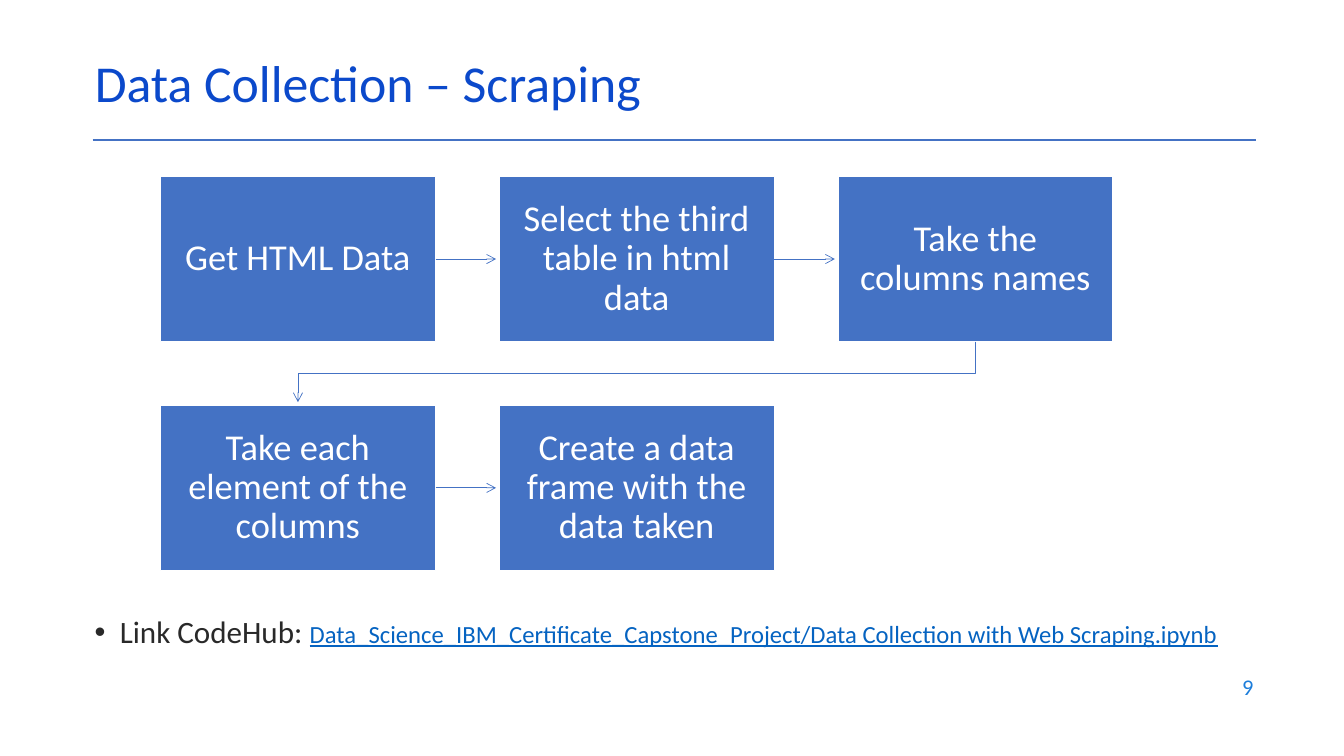
"""Build the web scraping slide: a five-step flow, a notebook link and a page number."""
from lxml import etree
from pptx import Presentation
from pptx.dml.color import RGBColor
from pptx.enum.shapes import MSO_CONNECTOR, MSO_SHAPE
from pptx.enum.text import MSO_ANCHOR, PP_ALIGN
from pptx.oxml.ns import qn
from pptx.util import Inches, Pt

STRAIGHT, RECTANGLE = MSO_CONNECTOR.STRAIGHT, MSO_SHAPE.RECTANGLE
MIDDLE, TOP = MSO_ANCHOR.MIDDLE, MSO_ANCHOR.TOP
LEFT, CENTER, RIGHT = PP_ALIGN.LEFT, PP_ALIGN.CENTER, PP_ALIGN.RIGHT
BOTTOM_SIDE, RIGHT_SIDE = 2, 3

WHITE = RGBColor(0xFF, 0xFF, 0xFF)
FLOW_BLUE = RGBColor(0x44, 0x72, 0xC4)
TITLE_BLUE = RGBColor(0x0B, 0x49, 0xCB)
PAGE_BLUE = RGBColor(0x1C, 0x7D, 0xDB)
LINK_BLUE = RGBColor(0x05, 0x63, 0xC1)
DARK = RGBColor(0x29, 0x29, 0x29)

STEPS = [
    "Get HTML Data",
    "Select the third table in html data",
    "Take the columns names",
    "Take each element of the columns",
    "Create a data frame with the data taken",
]
COLUMNS = 3
FLOW_LEFT, FLOW_TOP = 1.59, 1.75
STEP_WIDTH, STEP_HEIGHT = 2.73, 1.64
COLUMN_PITCH, ROW_PITCH = 3.36, 2.27
ARROW_GAP = 0.03


def write(shape, runs, align, anchor, spacing=1.0, inset=None, bullet=False):
    """Fill a shape with one paragraph of (text, size, colour, underline) runs."""
    frame = shape.text_frame
    frame.word_wrap = True
    frame.vertical_anchor = anchor
    if inset is not None:
        for side in ("left", "top", "right", "bottom"):
            setattr(frame, f"margin_{side}", Inches(inset))
    paragraph = frame.paragraphs[0]
    if bullet:
        properties = paragraph._p.get_or_add_pPr()
        properties.set("marL", str(Inches(0.25)))
        properties.set("indent", str(Inches(-0.25)))
        etree.SubElement(properties, qn("a:buFont"), typeface="Arial")
        etree.SubElement(properties, qn("a:buChar"), char="•")
    paragraph.alignment = align
    paragraph.line_spacing = spacing
    for text, size, colour, underline in runs:
        run = paragraph.add_run()
        run.text = text
        formats = {"name": "Calibri", "size": Pt(size), "underline": underline}
        for key, value in formats.items():
            setattr(run.font, key, value)
        run.font.color.rgb = colour


def style_line(item, width, arrow=True):
    """Give a line its colour and width, no shadow, and an optional arrowhead."""
    item.line.color.rgb = FLOW_BLUE
    item.line.width = Pt(width)
    if arrow:
        etree.SubElement(item.line._get_or_add_ln(), qn("a:tailEnd"), type="arrow")
    etree.SubElement(item._element.spPr, qn("a:effectLst"))


prs = Presentation()
prs.slide_width, prs.slide_height = Inches(13.33), Inches(7.5)
slide = prs.slides.add_slide(prs.slide_layouts[5])
shapes = slide.shapes

title = shapes.title
title.left, title.top = Inches(0.84), Inches(0.59)
title.width, title.height = Inches(11.5), Inches(0.6)
write(title, [("Data Collection – Scraping", 37, TITLE_BLUE, False)], LEFT, MIDDLE, 0.7)

title_rule = shapes.add_connector(
    STRAIGHT, Inches(0.92), Inches(1.39), Inches(12.46), Inches(1.39))
style_line(title_rule, 1, arrow=False)

steps = []
for index, label in enumerate(STEPS):
    row, column = divmod(index, COLUMNS)
    step = shapes.add_shape(
        RECTANGLE,
        Inches(FLOW_LEFT + column * COLUMN_PITCH), Inches(FLOW_TOP + row * ROW_PITCH),
        Inches(STEP_WIDTH), Inches(STEP_HEIGHT))
    step.shadow.inherit = False
    step.fill.solid()
    step.fill.fore_color.rgb = FLOW_BLUE
    step.line.color.rgb = WHITE
    step.line.width = Pt(1)
    write(step, [(label, 26, WHITE, False)], CENTER, MIDDLE, 0.9, 0.2)
    steps.append(step)

for current, following in zip(steps, steps[1:]):
    if current.top == following.top:
        middle = current.top + current.height // 2
        arrow = shapes.add_connector(
            STRAIGHT, current.left + current.width, middle,
            following.left - Inches(ARROW_GAP), middle)
        arrow.begin_connect(current, RIGHT_SIDE)
    else:
        start_x = current.left + current.width // 2
        end_x = following.left + following.width // 2
        start_y = current.top + current.height
        turn_y = (start_y + following.top) // 2
        path = shapes.build_freeform(start_x, start_y)
        path.add_line_segments(
            [(start_x, turn_y), (end_x, turn_y),
             (end_x, following.top - Inches(ARROW_GAP))], close=False)
        arrow = path.convert_to_shape()
        arrow.fill.background()
    style_line(arrow, 0.5)

notebook = shapes.add_textbox(Inches(0.84), Inches(6.03), Inches(11.5), Inches(0.59))
write(notebook, [
    ("Link CodeHub: ", 22.2, DARK, False),
    ("Data_Science_IBM_Certificate_Capstone_Project/Data Collection with Web Scraping.ipynb",
     17.6, LINK_BLUE, True),
], LEFT, TOP, bullet=True)

page_number = shapes.add_textbox(Inches(9.53), Inches(6.59), Inches(3), Inches(0.44))
write(page_number, [("9", 16, PAGE_BLUE, False)], RIGHT, MIDDLE)

prs.save("out.pptx")
